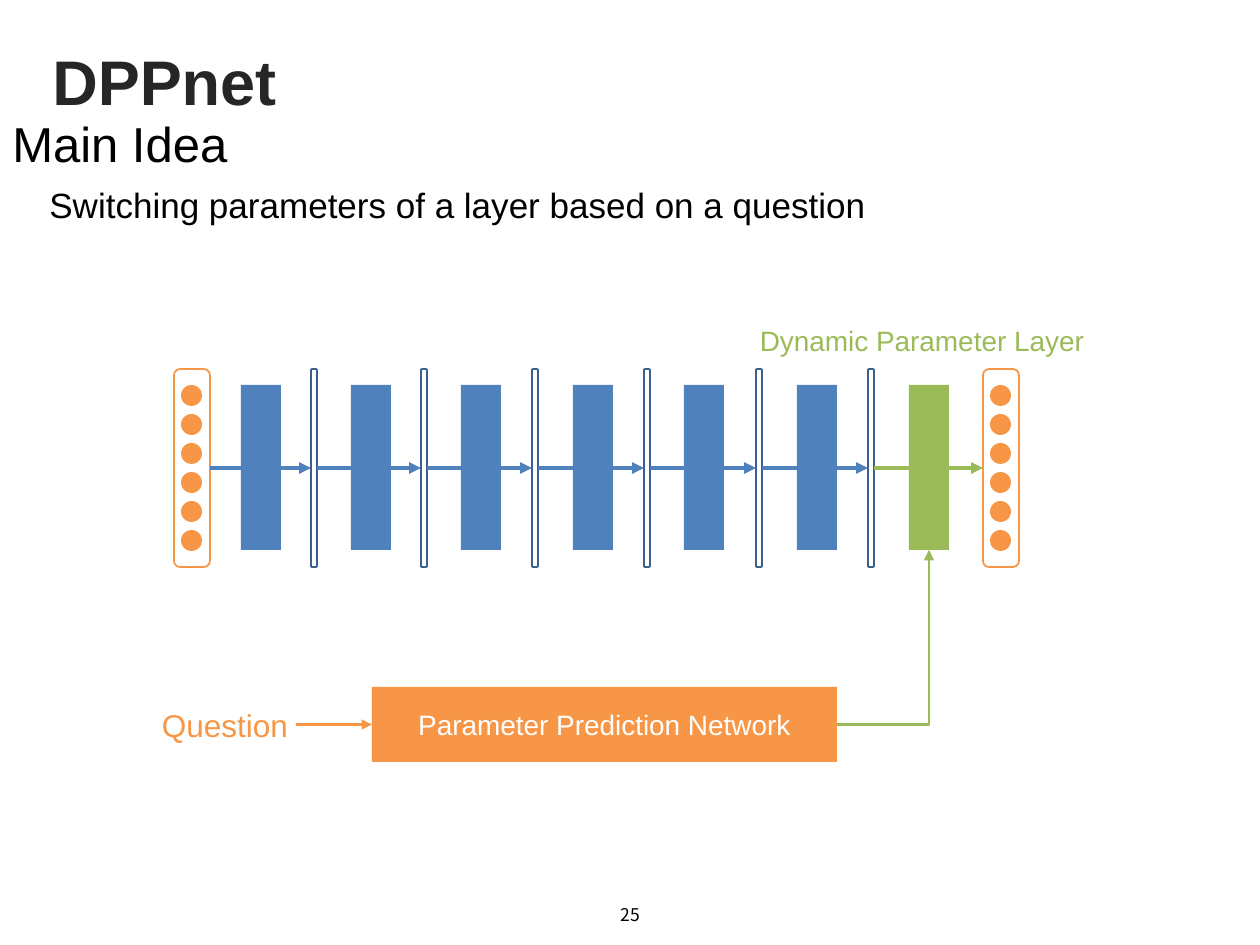
"""Build the DPPnet main idea slide with its dynamic parameter layer diagram."""
from dataclasses import dataclass
from typing import NamedTuple, Optional

from lxml.etree import SubElement
from pptx import Presentation
from pptx.dml.color import RGBColor
from pptx.enum.shapes import MSO_CONNECTOR as Route, MSO_SHAPE as Preset
from pptx.enum.text import MSO_ANCHOR as Anchor, PP_ALIGN as Align
from pptx.oxml.ns import qn
from pptx.shapes.autoshape import Shape
from pptx.shapes.connector import Connector
from pptx.util import Emu, Pt

PX = 914400 / 126
BLUE, NAVY, GREEN, ORANGE = "4F81BD", "3A5F8C", "9BBB59", "F79646"
BLACK, WHITE, CHARCOAL = "000000", "FFFFFF", "262626"
TOP, LEFT, BOTTOM, RIGHT = range(4)
LAYER_TOP, LAYER_WIDTH, LAYER_HEIGHT = 385, 40, 165
UNIT_TOP, UNIT_HEIGHT, BAR_WIDTH, VECTOR_WIDTH = 369, 198, 6, 36
NEURONS, NEURON_SIZE, NEURON_PITCH = 6, 21, 29


class Box(NamedTuple):
    """A rectangle in px."""
    left: int
    top: int
    width: int
    height: int


class Stage(NamedTuple):
    """Left edges of a fixed layer and of the activation bar after it."""
    layer: int
    bar: int


@dataclass
class Label:
    """A piece of text with its place and format."""
    text: str
    box: Box
    size: int
    color: str = BLACK
    align: Align = Align.LEFT
    bold: bool = False
    font: str = "Arial"
    inset: Optional[int] = None


STAGES = [Stage(241, 311), Stage(351, 421), Stage(461, 532),
          Stage(573, 644), Stage(684, 756), Stage(797, 868)]
LABELS = [
    Label("DPPnet", Box(40, 35, 1182, 91), 36, CHARCOAL, bold=True),
    Label("25", Box(483, 890, 294, 50), 10, align=Align.CENTER, font="Noto Sans CJK KR"),
    Label("Main Idea", Box(0, 101, 1260, 83), 28),
    Label("Switching parameters of a layer based on a question", Box(37, 175, 1223, 59), 20),
    Label("Dynamic Parameter Layer", Box(728, 314, 388, 52), 16, GREEN, Align.CENTER),
]
QUESTION = Label("Question", Box(154, 703, 142, 43), 18, ORANGE, Align.CENTER, inset=0)
NETWORK = Label("Parameter Prediction Network", Box(372, 687, 465, 75), 16, WHITE, Align.CENTER)


def px(length: float) -> Emu:
    """Turn px into EMU."""
    return Emu(round(length * PX))


def rgb(color: str) -> RGBColor:
    """Turn a hex string into a colour."""
    return RGBColor.from_string(color)


def write(shape: Shape, label: Label) -> None:
    """Put a label's text and format into a shape."""
    frame = shape.text_frame
    frame.word_wrap, frame.vertical_anchor = True, Anchor.MIDDLE
    if label.inset is not None:
        for side in ("left", "top", "right", "bottom"):
            setattr(frame, f"margin_{side}", px(label.inset))
    paragraph = frame.paragraphs[0]
    paragraph.text, paragraph.alignment = label.text, label.align
    font = paragraph.runs[0].font
    for name, value in {"name": label.font, "size": Pt(label.size), "bold": label.bold}.items():
        setattr(font, name, value)
    font.color.rgb = rgb(label.color)


def add_label(shapes, label: Label) -> Shape:
    """Add a text box for a label."""
    text_box = shapes.add_textbox(*map(px, label.box))
    write(text_box, label)
    return text_box


def add_shape(shapes, preset: Preset, box: Box, fill: Optional[str] = None,
              outline: Optional[str] = None) -> Shape:
    """Add a preset shape, filled or outlined."""
    shape = shapes.add_shape(preset, *map(px, box))
    shape.shadow.inherit = False
    for paint, color in ((shape.fill, fill), (shape.line.fill, outline)):
        if color:
            paint.solid()
            paint.fore_color.rgb = rgb(color)
        else:
            paint.background()
    if outline:
        shape.line.width = Pt(1)
    return shape


def add_layer(shapes, left: int, color: str) -> Shape:
    """Add a network layer block."""
    return add_shape(shapes, Preset.RECTANGLE,
                     Box(left, LAYER_TOP, LAYER_WIDTH, LAYER_HEIGHT), color)


def add_unit(shapes, left: int, width: int, outline: str) -> Shape:
    """Add a rounded outline that stands for activations."""
    return add_shape(shapes, Preset.ROUNDED_RECTANGLE,
                     Box(left, UNIT_TOP, width, UNIT_HEIGHT), outline=outline)


def add_vector(shapes, left: int) -> Shape:
    """Add a grouped column of neurons and return its frame."""
    group = shapes.add_group_shape().shapes
    for row in range(NEURONS):
        add_shape(group, Preset.OVAL, Box(left + 7, LAYER_TOP + NEURON_PITCH * row,
                                          NEURON_SIZE, NEURON_SIZE), ORANGE)
    return add_unit(group, left, VECTOR_WIDTH, ORANGE)


def add_arrow(shapes, source: Shape, target: Shape, color: str, weight: float,
              end_side: int = LEFT) -> Connector:
    """Join the right side of one shape to a side of another with an arrow."""
    route = Route.STRAIGHT if end_side == LEFT else Route.ELBOW
    arrow = shapes.add_connector(route, 0, 0, 0, 0)
    arrow.begin_connect(source, RIGHT)
    arrow.end_connect(target, end_side)
    arrow.line.color.rgb = rgb(color)
    arrow.line.width = Pt(weight)
    properties = arrow.element.spPr
    SubElement(properties.find(qn("a:ln")), qn("a:tailEnd"), type="triangle")
    SubElement(properties, qn("a:effectLst"))
    if route == Route.ELBOW:
        properties.find(qn("a:prstGeom")).set("prst", "bentConnector2")
    return arrow


def main() -> None:
    """Draw the slide and save it."""
    deck = Presentation()
    deck.slide_width, deck.slide_height = px(1260), px(945)
    shapes = deck.slides.add_slide(deck.slide_layouts[6]).shapes

    for label in LABELS:
        add_label(shapes, label)

    units = [add_vector(shapes, 174)]
    for stage in STAGES:
        add_layer(shapes, stage.layer, BLUE)
        units.append(add_unit(shapes, stage.bar, BAR_WIDTH, NAVY))
    dynamic_layer = add_layer(shapes, 909, GREEN)
    units.append(add_vector(shapes, 983))

    flow_colors = [BLUE] * len(STAGES) + [GREEN]
    for source, target, color in zip(units, units[1:], flow_colors):
        add_arrow(shapes, source, target, color, 2.25)

    question = add_label(shapes, QUESTION)
    network = add_shape(shapes, Preset.RECTANGLE, NETWORK.box, ORANGE)
    write(network, NETWORK)
    add_arrow(shapes, question, network, ORANGE, 1.5)
    add_arrow(shapes, network, dynamic_layer, GREEN, 1.5, BOTTOM)

    deck.save("out.pptx")


if __name__ == "__main__":
    main()
